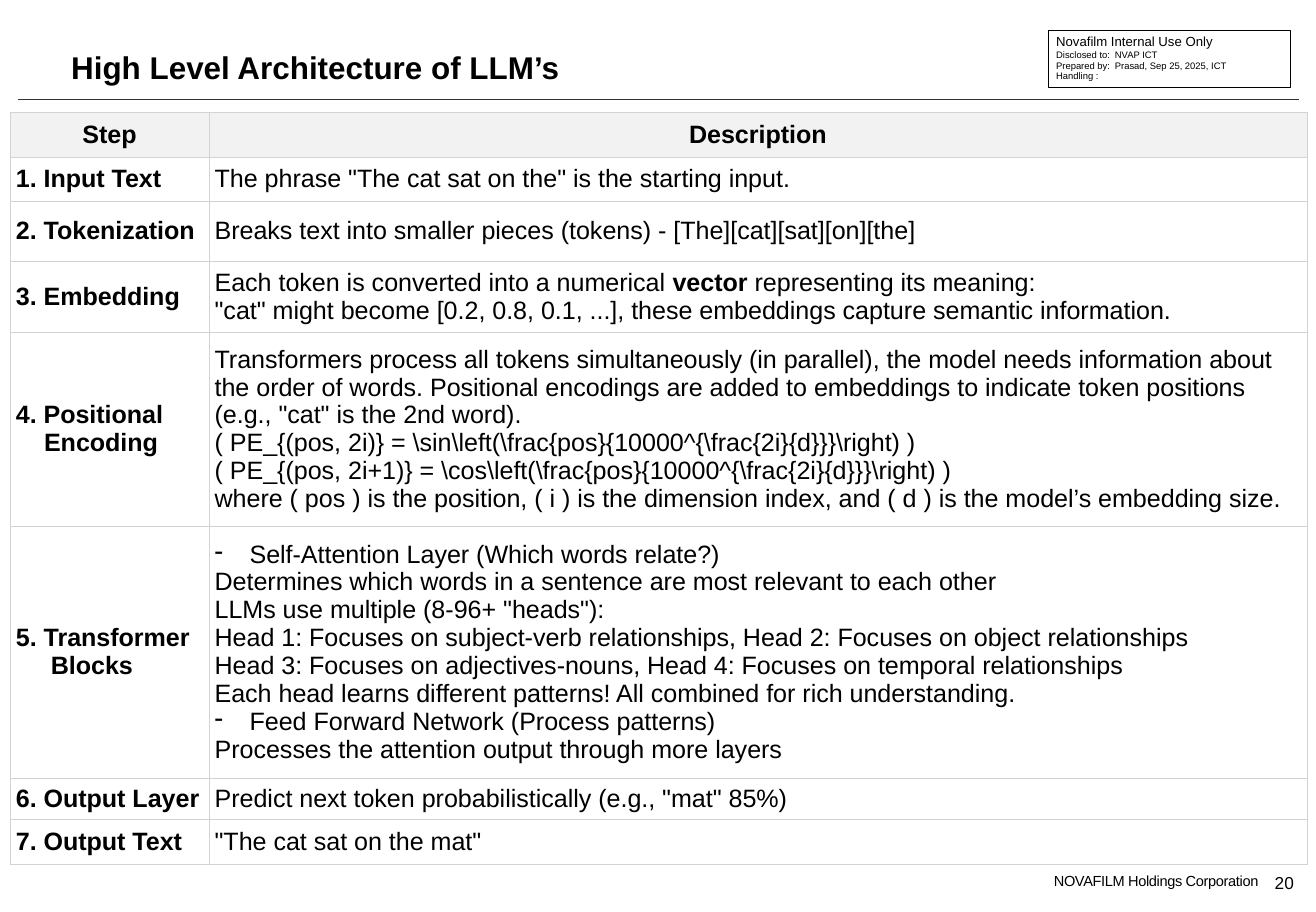
from dataclasses import dataclass

from lxml import etree
from pptx import Presentation
from pptx import util as u
from pptx.dml.color import RGBColor
from pptx.enum import shapes, text
from pptx.oxml import ns

BLACK = RGBColor(0x00, 0x00, 0x00)
WHITE = RGBColor(0xFF, 0xFF, 0xFF)
RULE_GREY = RGBColor(0x33, 0x33, 0x33)
HEADER_GREY = RGBColor(0xF2, 0xF2, 0xF2)
BORDER_GREY = RGBColor(0xD3, 0xD3, 0xD3)
FONT = "Arial"
BOLD_MARK = "**"
BULLET_MARK = "- "
LEFT, CENTER, RIGHT = text.PP_ALIGN.LEFT, text.PP_ALIGN.CENTER, text.PP_ALIGN.RIGHT
TOP, MIDDLE, BOTTOM = text.MSO_ANCHOR.TOP, text.MSO_ANCHOR.MIDDLE, text.MSO_ANCHOR.BOTTOM


@dataclass
class Label:
    area: tuple[float, float, float, float]
    lines: list[str]
    size: float
    align: text.PP_ALIGN = LEFT
    anchor: text.MSO_ANCHOR = TOP
    line_spacing: float | None = None
    space_before: float | None = None
    tracking: int = 0


@dataclass
class Step:
    height: float
    name: list[str]
    description: list[str]
    name_indent: float = 0


LABELS = [
    Label((8.79, 7.72, 2.35, 0.16), ["NOVAFILM Holdings Corporation"], 9.3,
          align=RIGHT, space_before=4.7, tracking=-20),
    Label((9.35, 0.3, 1.92, 0.13), ["Novafilm Internal Use Only"], 8.4, anchor=MIDDLE),
    Label((9.35, 0.44, 0.5, 0.38), ["Disclosed to:", "Prepared by:", "Handling :"], 6,
          line_spacing=6.8),
    Label((9.87, 0.44, 1.46, 0.36), ["NVAP ICT", "Prasad, Sep 25, 2025, ICT"], 6,
          line_spacing=6.8),
    Label((11.18, 7.73, 0.38, 0.16), ["20"], 11, align=CENTER, anchor=MIDDLE),
]

STEPS = [
    Step(0.4, ["Step"], ["**Description**"]),
    Step(0.39, ["1. Input Text"], ['The phrase "The cat sat on the" is the starting input.']),
    Step(0.53, ["2. Tokenization"],
         ["Breaks text into smaller pieces (tokens) - [The][cat][sat][on][the]"]),
    Step(0.6, ["3. Embedding"], [
        "Each token is converted into a numerical **vector** representing its meaning:",
        '"cat" might become [0.2, 0.8, 0.1, ...], these embeddings capture semantic information.',
    ]),
    Step(1.71, ["4. Positional", "Encoding"], [
        "Transformers process all tokens simultaneously (in parallel), the model needs "
        "information about the order of words. Positional encodings are added to embeddings "
        'to indicate token positions (e.g., "cat" is the 2nd word).',
        r"( PE_{(pos, 2i)} = \sin\left(\frac{pos}{10000^{\frac{2i}{d}}}\right) )",
        r"( PE_{(pos, 2i+1)} = \cos\left(\frac{pos}{10000^{\frac{2i}{d}}}\right) )",
        "where ( pos ) is the position, ( i ) is the dimension index, "
        "and ( d ) is the model’s embedding size.",
    ], name_indent=0.25),
    Step(2.09, ["5. Transformer", "Blocks"], [
        "- Self-Attention Layer (Which words relate?)",
        "Determines which words in a sentence are most relevant to each other",
        'LLMs use multiple (8-96+ "heads"):',
        "Head 1: Focuses on subject-verb relationships, Head 2: Focuses on object relationships",
        "Head 3: Focuses on adjectives-nouns, Head 4: Focuses on temporal relationships",
        "Each head learns different patterns! All combined for rich understanding.",
        "- Feed Forward Network (Process patterns)",
        "Processes the attention output through more layers",
    ], name_indent=0.31),
    Step(0.36, ["6. Output Layer"], ['Predict next token probabilistically (e.g., "mat" 85%)']),
    Step(0.4, ["7. Output Text"], ['"The cat sat on the mat"']),
]


def apply(target, values: dict) -> None:
    for name, value in values.items():
        setattr(target, name, value)


def inches(area: tuple) -> list:
    return [u.Inches(value) for value in area]


def margins(width: float) -> dict:
    return {f"margin_{side}": u.Inches(width) for side in ("left", "top", "right", "bottom")}


def write_span(para, words: str, size: float, bold: bool = False):
    span = para.add_run()
    span.text = words
    apply(span.font, {"name": FONT, "size": u.Pt(size), "bold": bold})
    span.font.color.rgb = BLACK
    return span


def paragraphs(frame, count: int) -> list:
    return [frame.paragraphs[0]] + [frame.add_paragraph() for _ in range(count - 1)]


def indent(para, left: float, first: float = 0) -> None:
    properties = para._p.get_or_add_pPr()
    properties.set("marL", str(u.Inches(left)))
    properties.set("indent", str(u.Inches(first)))


def add_label(page, label: Label) -> None:
    frame = page.shapes.add_textbox(*inches(label.area)).text_frame
    apply(frame, {"word_wrap": True, "vertical_anchor": label.anchor, **margins(0)})
    for para, line in zip(paragraphs(frame, len(label.lines)), label.lines):
        para.alignment = label.align
        if label.line_spacing:
            para.line_spacing = u.Pt(label.line_spacing)
        if label.space_before:
            para.space_before = u.Pt(label.space_before)
        span = write_span(para, line, label.size)
        if label.tracking:
            span.font._element.set("spc", str(label.tracking))


def add_borders(cell) -> None:
    properties = cell._tc.get_or_add_tcPr()
    for side in ("lnL", "lnR", "lnT", "lnB"):
        border = etree.SubElement(properties, ns.qn(f"a:{side}"), w=str(u.Pt(0.5)))
        fill = etree.SubElement(border, ns.qn("a:solidFill"))
        etree.SubElement(fill, ns.qn("a:srgbClr"), val=str(BORDER_GREY))


def fill_cell(cell, lines: list[str], header: bool, bold: bool, later_indent: float = 0) -> None:
    add_borders(cell)
    cell.fill.solid()
    cell.fill.fore_color.rgb = HEADER_GREY if header else WHITE
    apply(cell, {"vertical_anchor": MIDDLE, **margins(0.05)})
    for number, (para, line) in enumerate(zip(paragraphs(cell.text_frame, len(lines)), lines)):
        para.alignment = CENTER if header else LEFT
        if number and later_indent:
            indent(para, later_indent)
        if line.startswith(BULLET_MARK):
            indent(para, 0.31, -0.31)
            etree.SubElement(para._p.get_or_add_pPr(), ns.qn("a:buChar"), char="-")
            line = line.removeprefix(BULLET_MARK)
        for part, words in enumerate(line.split(BOLD_MARK)):
            if words:
                write_span(para, words, 16, bold or part % 2 == 1)


def add_steps(page) -> None:
    height = sum(step.height for step in STEPS)
    table = page.shapes.add_table(len(STEPS), 2, *inches((0.09, 0.99, 11.48, height))).table
    apply(table, {"first_row": False, "horz_banding": False})
    for column, width in zip(table.columns, (1.76, 9.72)):
        column.width = u.Inches(width)
    for number, (row, step) in enumerate(zip(table.rows, STEPS)):
        row.height = u.Inches(step.height)
        header = number == 0
        fill_cell(row.cells[0], step.name, header, True, step.name_indent)
        fill_cell(row.cells[1], step.description, header, False)


def add_frame(page) -> None:
    rule = page.shapes.add_connector(
        shapes.MSO_CONNECTOR.STRAIGHT, *inches((0.16, 0.88, 11.5, 0.88)))
    rule.line.color.rgb = RULE_GREY
    rule.line.width = u.Pt(0.75)
    etree.SubElement(rule._element.spPr, ns.qn("a:effectLst"))
    box = page.shapes.add_shape(
        shapes.MSO_SHAPE.RECTANGLE, *inches((9.28, 0.27, 2.14, 0.5)))
    box.shadow.inherit = False
    box.fill.solid()
    box.fill.fore_color.rgb = WHITE
    box.line.color.rgb = BLACK
    box.line.width = u.Pt(0.5)


def add_title(page, words: str) -> None:
    title = page.shapes.title
    apply(title, dict(zip(("left", "top", "width", "height"), inches((0.63, 0.17, 7.95, 0.59)))))
    apply(title.text_frame, {"vertical_anchor": BOTTOM, "word_wrap": True,
                             "auto_size": text.MSO_AUTO_SIZE.NONE, **margins(0)})
    para = title.text_frame.paragraphs[0]
    para.alignment = LEFT
    write_span(para, words, 20, True)


def main() -> None:
    deck = Presentation()
    apply(deck, {"slide_width": u.Inches(11.65), "slide_height": u.Inches(8.07)})
    page = deck.slides.add_slide(deck.slide_layouts[5])
    add_frame(page)
    for label in LABELS:
        add_label(page, label)
    add_title(page, "High Level Architecture of LLM’s")
    add_steps(page)
    deck.save("out.pptx")


if __name__ == "__main__":
    main()
